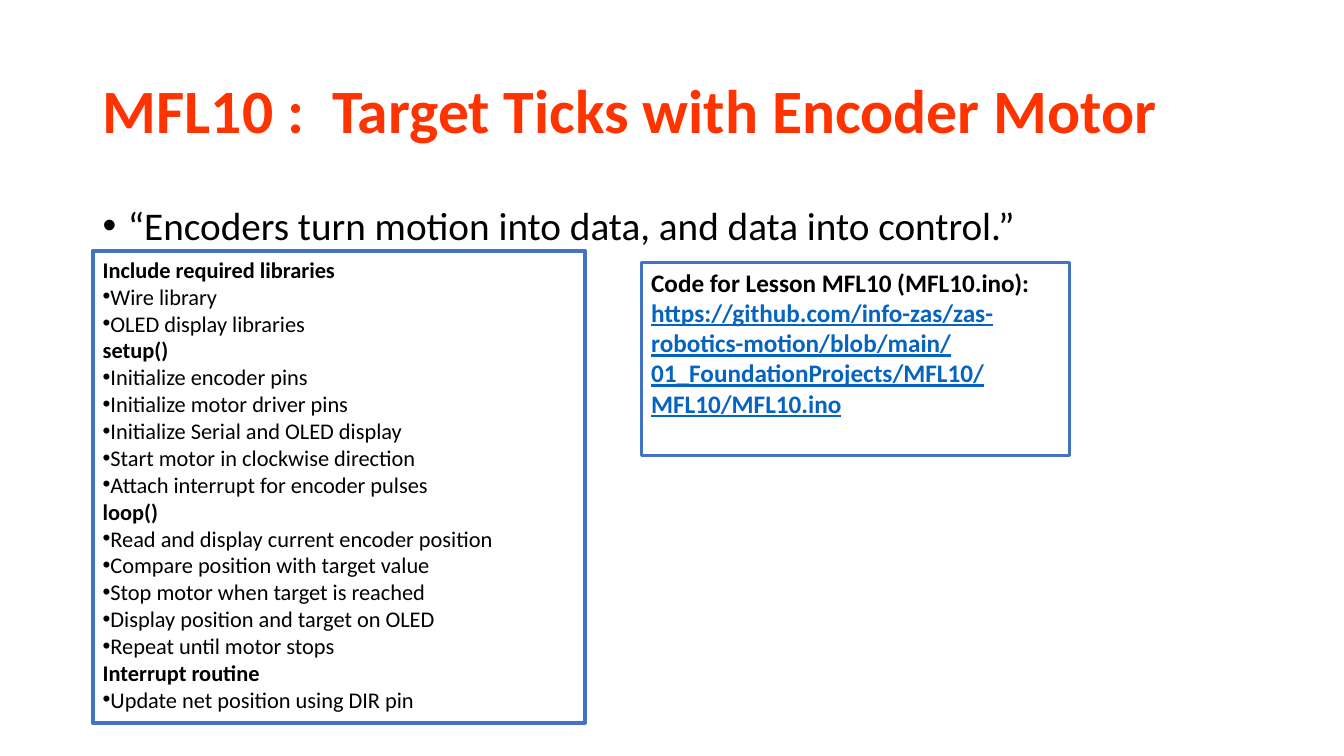
from typing import NamedTuple

from lxml import etree
from pptx import Presentation
from pptx.dml.color import RGBColor
from pptx.enum.shapes import MSO_SHAPE
from pptx.enum.text import MSO_ANCHOR, MSO_AUTO_SIZE, PP_ALIGN
from pptx.oxml.ns import qn
from pptx.util import Inches, Pt

RECT = MSO_SHAPE.RECTANGLE
TOP, MIDDLE = MSO_ANCHOR.TOP, MSO_ANCHOR.MIDDLE
NO_FIT = MSO_AUTO_SIZE.NONE
LEFT = PP_ALIGN.LEFT

FONT = "Calibri"
BLACK = RGBColor(0x00, 0x00, 0x00)
RED = RGBColor(0xFF, 0x33, 0x00)
BLUE = RGBColor(0x44, 0x72, 0xC4)
LINK = RGBColor(0x05, 0x63, 0xC1)
MARGIN = 0.92


class Line(NamedTuple):
    text: str
    size: float
    color: RGBColor = BLACK
    bold: bool = False
    under: bool = False
    bullet: bool = False
    indent: float = 0
    spacing: float = 1.0


class Box(NamedTuple):
    left: float
    top: float
    width: float
    height: float
    border: float
    lines: list[Line]


def add_bullet(para, indent: float) -> None:
    props = para._p.get_or_add_pPr()
    props.set("marL", str(Inches(indent)))
    props.set("indent", str(-Inches(indent)))
    etree.SubElement(props, qn("a:buFont")).set("typeface", "Arial")
    etree.SubElement(props, qn("a:buChar")).set("char", "•")


def write(frame, lines: list[Line], anchor=TOP) -> None:
    frame.word_wrap = True
    frame.auto_size = NO_FIT
    frame.vertical_anchor = anchor
    for index, line in enumerate(lines):
        para = frame.add_paragraph() if index else frame.paragraphs[0]
        if line.bullet:
            add_bullet(para, line.indent)
        para.alignment = LEFT
        para.line_spacing = line.spacing
        run = para.add_run()
        run.text = line.text
        font = run.font
        font.name = FONT
        font.size = Pt(line.size)
        font.bold = line.bold
        font.underline = line.under
        font.color.rgb = line.color


def place(shape, left: float, top: float, width: float, height: float) -> None:
    shape.left, shape.top = Inches(left), Inches(top)
    shape.width, shape.height = Inches(width), Inches(height)


def add_box(slide, box: Box) -> None:
    area = [Inches(side) for side in box[:4]]
    shape = slide.shapes.add_shape(RECT, *area)
    shape.shadow.inherit = False
    shape.fill.background()
    shape.line.color.rgb = BLUE
    shape.line.width = Pt(box.border)
    write(shape.text_frame, box.lines)


STEPS = {
    "Include required libraries": ["Wire library", "OLED display libraries"],
    "setup()": [
        "Initialize encoder pins",
        "Initialize motor driver pins",
        "Initialize Serial and OLED display",
        "Start motor in clockwise direction",
        "Attach interrupt for encoder pulses",
    ],
    "loop()": [
        "Read and display current encoder position",
        "Compare position with target value",
        "Stop motor when target is reached",
        "Display position and target on OLED",
        "Repeat until motor stops",
    ],
    "Interrupt routine": ["Update net position using DIR pin"],
}
URL = (
    "https://github.com/info-zas/zas-robotics-motion/blob/main/"
    "01_FoundationProjects/MFL10/MFL10/MFL10.ino"
)
TITLE = Line("MFL10 :  Target Ticks with Encoder Motor", 44, RED, bold=True, spacing=0.9)
QUOTE = Line(
    "“Encoders turn motion into data, and data into control.”",
    28, bullet=True, indent=0.25, spacing=0.9,
)


def list_steps() -> list[Line]:
    lines = []
    for head, items in STEPS.items():
        lines.append(Line(head, 16, bold=True))
        lines += [Line(item, 16, bullet=True) for item in items]
    return lines


def main() -> None:
    deck = Presentation()
    deck.slide_width, deck.slide_height = Inches(13.33), Inches(7.5)
    slide = deck.slides.add_slide(deck.slide_layouts[5])

    title = slide.shapes.title
    place(title, MARGIN, 0.4, 11.5, 1.45)
    write(title.text_frame, [TITLE], MIDDLE)

    quote = slide.shapes.add_textbox(0, 0, 0, 0)
    place(quote, MARGIN, 2, 11.5, 4.76)
    write(quote.text_frame, [QUOTE])

    code = [
        Line("Code for Lesson MFL10 (MFL10.ino):", 18, bold=True),
        Line(URL, 18, LINK, bold=True, under=True),
    ]
    boxes = [
        Box(MARGIN, 2.49, 4.88, 4.68, 3, list_steps()),
        Box(6.36, 2.6, 4.25, 1.92, 2.25, code),
    ]
    for box in boxes:
        add_box(slide, box)

    deck.save("out.pptx")


if __name__ == "__main__":
    main()
